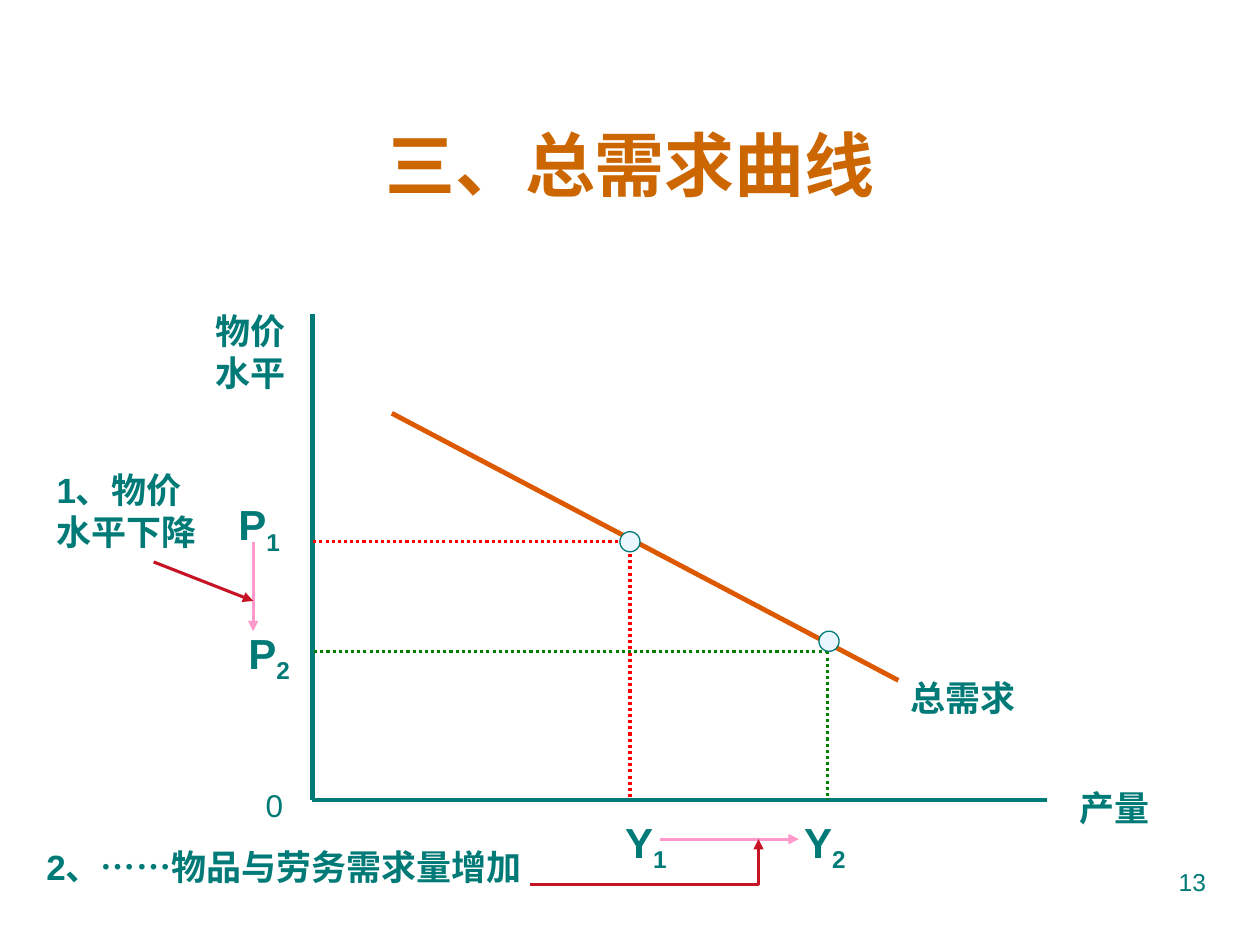
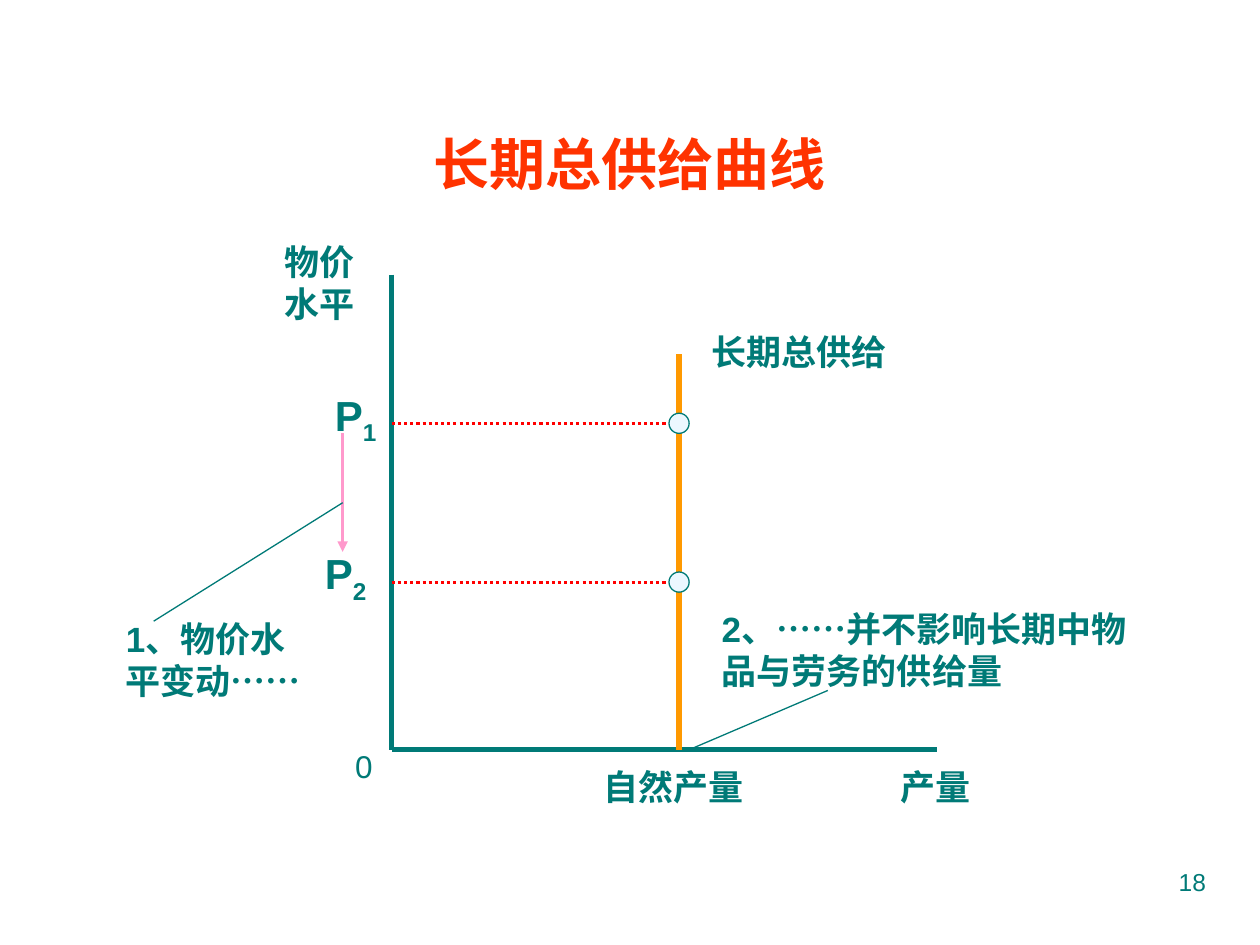
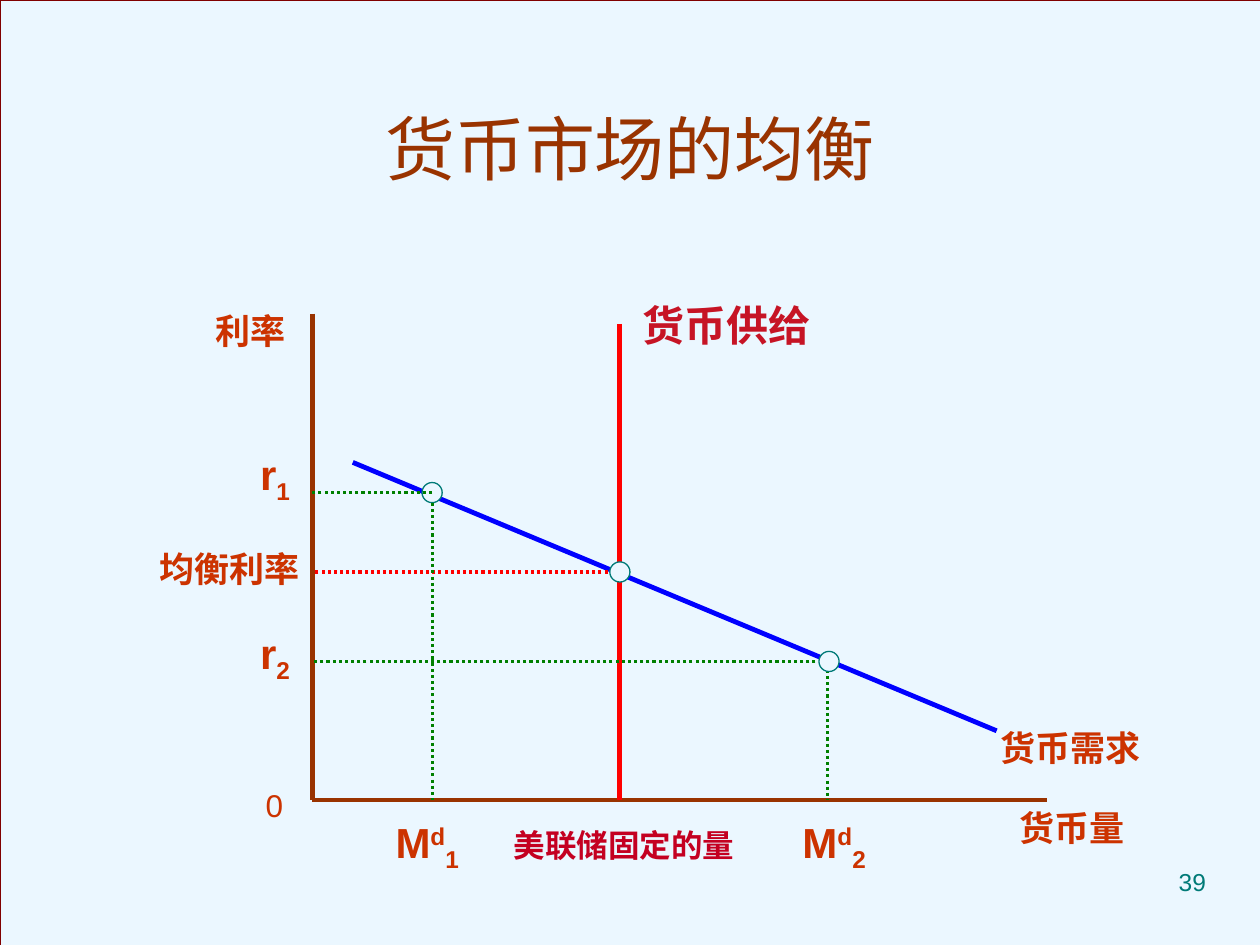
"""Build three slides of macroeconomic supply and demand diagrams."""
import dataclasses
import typing

import lxml.etree
import pptx
import pptx.dml.color
import pptx.enum.dml
import pptx.enum.lang
import pptx.enum.shapes
import pptx.enum.text
import pptx.oxml.ns
import pptx.util

Inches = pptx.util.Inches
qn = pptx.oxml.ns.qn
ALIGN = pptx.enum.text.PP_ALIGN
CONNECTOR = pptx.enum.shapes.MSO_CONNECTOR
SHAPE = pptx.enum.shapes.MSO_SHAPE

FONT = "Arial"
COLORS = {
    "teal": "007A77", "pale": "EBF7FF", "maroon": "800000", "brown": "993300",
    "rust": "CC3300", "ochre": "CC6600", "scarlet": "FF3300", "demand": "DC5900",
    "supply": "FF9900", "red": "FF0000", "green": "008000", "blue": "0000FF",
    "pink": "FF99CC", "crimson": "C61425", "wine": "C40021",
}
LINE_HEIGHT = {18: 0.4, 20: 0.43, 24: 0.5}
TWO_LINES = 0.77
DOT = 0.16
SUB, SUP = -25000, 30000


@dataclasses.dataclass
class Label:
    x: float
    y: float
    w: float
    text: str
    color: str = "teal"
    size: int = 20
    bold: bool = True
    h: float = 0
    sup: str = ""
    sub: str = ""
    align: ALIGN = ALIGN.LEFT
    middle: bool = False
    wrap: bool = True
    spacing: float = 1


@dataclasses.dataclass
class Line:
    x1: float
    y1: float
    x2: float
    y2: float
    color: str
    width: float = 1.75
    dotted: bool = False
    arrow: bool = False
    bent: bool = False


@dataclasses.dataclass
class Dot:
    x: float
    y: float


Item = typing.Union[Label, Line, Dot]


@dataclasses.dataclass
class Diagram:
    title: Label
    page: int
    items: list[Item]
    tinted: bool = False


def rgb(name: str) -> pptx.dml.color.RGBColor:
    return pptx.dml.color.RGBColor.from_string(COLORS[name])


def draw_label(s, label: Label) -> None:
    h = label.h or LINE_HEIGHT[label.size]
    tf = s.shapes.add_textbox(*map(Inches, (label.x, label.y, label.w, h))).text_frame
    tf.word_wrap = label.wrap
    if label.middle:
        tf.vertical_anchor = pptx.enum.text.MSO_ANCHOR.MIDDLE
    p = tf.paragraphs[0]
    p.alignment = label.align
    p.line_spacing = label.spacing
    for text, baseline in ((label.text, 0), (label.sup, SUP), (label.sub, SUB)):
        if not text:
            continue
        r = p.add_run()
        r.text = text
        r.font.name = FONT
        r.font.size = pptx.util.Pt(label.size)
        r.font.bold = label.bold
        r.font.color.rgb = rgb(label.color)
        r.font.language_id = pptx.enum.lang.MSO_LANGUAGE_ID.SIMPLIFIED_CHINESE
        if baseline:
            r.font._element.set("baseline", str(baseline))


def draw_line(s, line: Line) -> None:
    kind = CONNECTOR.ELBOW if line.bent else CONNECTOR.STRAIGHT
    ends = map(Inches, (line.x1, line.y1, line.x2, line.y2))
    c = s.shapes.add_connector(kind, *ends)
    c.line.color.rgb = rgb(line.color)
    c.line.width = pptx.util.Pt(line.width)
    if line.dotted:
        c.line.dash_style = pptx.enum.dml.MSO_LINE.ROUND_DOT
    sp_pr = c._element.spPr
    if line.bent:
        sp_pr.find(qn("a:prstGeom")).set("prst", "bentConnector2")
    if line.arrow:
        lxml.etree.SubElement(sp_pr.find(qn("a:ln")), qn("a:tailEnd"), type="triangle")
    lxml.etree.SubElement(sp_pr, qn("a:effectLst"))


def draw_shape(s, kind: SHAPE, x: float, y: float, w: float, h: float, outline: str) -> None:
    sp = s.shapes.add_shape(kind, *map(Inches, (x, y, w, h)))
    sp.shadow.inherit = False
    sp.fill.solid()
    sp.fill.fore_color.rgb = rgb("pale")
    sp.line.color.rgb = rgb(outline)
    sp.line.width = pptx.util.Pt(0.75)


def draw_dot(s, dot: Dot) -> None:
    draw_shape(s, SHAPE.OVAL, dot.x - DOT / 2, dot.y - DOT / 2, DOT, DOT, "teal")


DRAW = {Label: draw_label, Line: draw_line, Dot: draw_dot}


def draw_diagram(prs, diagram: Diagram) -> None:
    s = prs.slides.add_slide(prs.slide_layouts[6])
    if diagram.tinted:
        draw_shape(s, SHAPE.RECTANGLE, 0, 0, 10.28, 7.69, "maroon")
    page = Label(7.17, 6.83, 2.5, str(diagram.page), size=14, bold=False, h=0.52,
                 align=ALIGN.RIGHT)
    for item in (diagram.title, *diagram.items, page):
        DRAW[type(item)](s, item)


def title(text: str, color: str, size: int) -> Label:
    return Label(0.33, 0.67, 9.34, text, color, size, h=1.25, align=ALIGN.CENTER, middle=True)


def axes(x: float, top: float, base: float, right: float, color: str, width: float) -> list[Item]:
    return [Line(x, top, x, base, color, width), Line(x, base, right, base, color, width)]


def across(x: float, y: float, axis: float, color: str) -> Line:
    return Line(x, y, axis, y, color, dotted=True)


def down(x: float, y: float, base: float, color: str) -> Line:
    return Line(x, y, x, base, color, dotted=True)


def mark(x: float, y: float, text: str, sub: str, w: float = 0.63, **style) -> Label:
    return Label(x, y, w, text, size=24, sub=sub, **{"align": ALIGN.RIGHT, **style})


def zero(x: float, y: float, w: float = 0.39, color: str = "teal") -> Label:
    return Label(x, y, w, "0", color, 18, bold=False)


AXIS, TOP, BASE, RIGHT = 2.48, 2.49, 6.35, 8.31
LONG_AXIS, LONG_BASE, NATURAL = 3.11, 5.95, 5.39
PRICES = (3.36, 4.62)

DEMAND = Diagram(title("三、总需求曲线", "ochre", 40), 13, [
    *axes(AXIS, TOP, BASE, RIGHT, "teal", 2.5),
    Line(3.11, 3.28, 7.13, 5.4, "demand", 2.75),
    across(5, 4.3, AXIS, "red"),
    down(5, 4.3, BASE, "red"),
    across(6.57, 5.17, AXIS, "green"),
    down(6.57, 5.17, BASE, "green"),
    Label(7.13, 5.32, 1.26, "总需求"),
    Label(1.61, 2.41, 0.79, "物价水平", h=TWO_LINES),
    Label(8.47, 6.19, 0.79, "产量"),
    zero(2.01, 6.19),
    mark(1.69, 3.91, "P", "1"),
    mark(1.77, 4.93, "P", "2"),
    mark(4.76, 6.43, "Y", "1"),
    mark(6.18, 6.43, "Y", "2"),
    Label(0.27, 6.66, 4.02, "2、……物品与劳务需求量增加"),
    Line(5.24, 6.66, 6.34, 6.66, "pink", arrow=True),
    Line(2.01, 4.3, 2.01, 5.01, "pink", arrow=True),
    Line(4.21, 7.02, 6.02, 6.66, "crimson", arrow=True, bent=True),
    Label(0.35, 3.67, 1.42, "1、物价水平下降", h=TWO_LINES),
    Line(1.22, 4.46, 2.01, 4.77, "crimson", arrow=True),
    Dot(5, 4.3),
    Dot(6.58, 5.09),
])

LONG_RUN = Diagram(title("长期总供给曲线", "scarlet", 32), 18, [
    *axes(LONG_AXIS, 2.18, LONG_BASE, 7.44, "teal", 2.75),
    Line(NATURAL, 2.81, NATURAL, LONG_BASE, "supply", 3.5),
    *(across(LONG_AXIS, y, NATURAL, "red") for y in PRICES),
    *(Dot(NATURAL, y) for y in PRICES),
    zero(2.72, 5.88, 0.47),
    Label(4.69, 6.03, 1.42, "自然产量"),
    Label(7.05, 6.03, 1.42, "产量"),
    Label(5.55, 2.57, 1.73, "长期总供给"),
    Label(2.16, 1.86, 0.87, "物价水平", h=TWO_LINES),
    mark(2.56, 3.04, "P", "1", 0.55, align=ALIGN.LEFT, wrap=False),
    mark(2.48, 4.3, "P", "2", 0.55, align=ALIGN.LEFT, wrap=False),
    Line(2.72, 3.44, 2.72, 4.38, "pink", arrow=True),
    Label(0.9, 4.85, 1.73, "1、物价水平变动……", h=TWO_LINES),
    Label(5.63, 4.77, 3.47, "2、……并不影响长期中物品与劳务的供给量", h=TWO_LINES),
    Line(5.47, LONG_BASE, 6.57, 5.48, "teal", 0.75),
    Line(2.72, 3.99, 1.22, 4.93, "teal", 0.75),
])

MONEY_TITLE = Label(0.75, 0.52, 8.5, "货币市场的均衡", "brown", 40, bold=False, h=0.95,
                    align=ALIGN.CENTER, spacing=1.4)
MONEY = Diagram(MONEY_TITLE, 39, [
    *axes(AXIS, TOP, BASE, RIGHT, "brown", 2.5),
    Line(2.8, 3.67, 7.91, 5.8, "blue", 2.75),
    across(4.92, 4.54, AXIS, "red"),
    Line(4.92, 2.57, 4.92, BASE, "red", 2.75),
    across(6.57, 5.25, AXIS, "green"),
    down(6.57, 5.17, BASE, "green"),
    Dot(4.92, 4.54),
    Dot(6.58, 5.25),
    Dot(3.43, 3.91),
    across(3.43, 3.91, AXIS, "green"),
    down(3.43, 3.99, BASE, "green"),
    Label(7.84, 5.72, 1.57, "货币需求", "rust"),
    Label(1.61, 2.41, 0.79, "利率", "rust"),
    Label(7.99, 6.35, 1.18, "货币量", "rust"),
    Label(5, 2.33, 2.05, "货币供给", "crimson", 24),
    Label(1.06, 4.3, 1.42, "均衡利率", "rust", align=ALIGN.RIGHT),
    Label(3.98, 6.51, 1.97, "美联储固定的量", "wine", 18),
    zero(2.01, 6.19, color="rust"),
    mark(1.77, 3.51, "r", "1", color="rust"),
    mark(1.77, 4.93, "r", "2", color="rust"),
    mark(2.95, 6.43, "M", "1", 0.79, sup="d", color="rust"),
    mark(6.18, 6.43, "M", "2", 0.79, sup="d", color="rust"),
], tinted=True)


def main() -> None:
    prs = pptx.Presentation()
    prs.slide_width, prs.slide_height = Inches(10), Inches(7.5)
    for diagram in (DEMAND, LONG_RUN, MONEY):
        draw_diagram(prs, diagram)
    prs.save("out.pptx")


if __name__ == "__main__":
    main()
